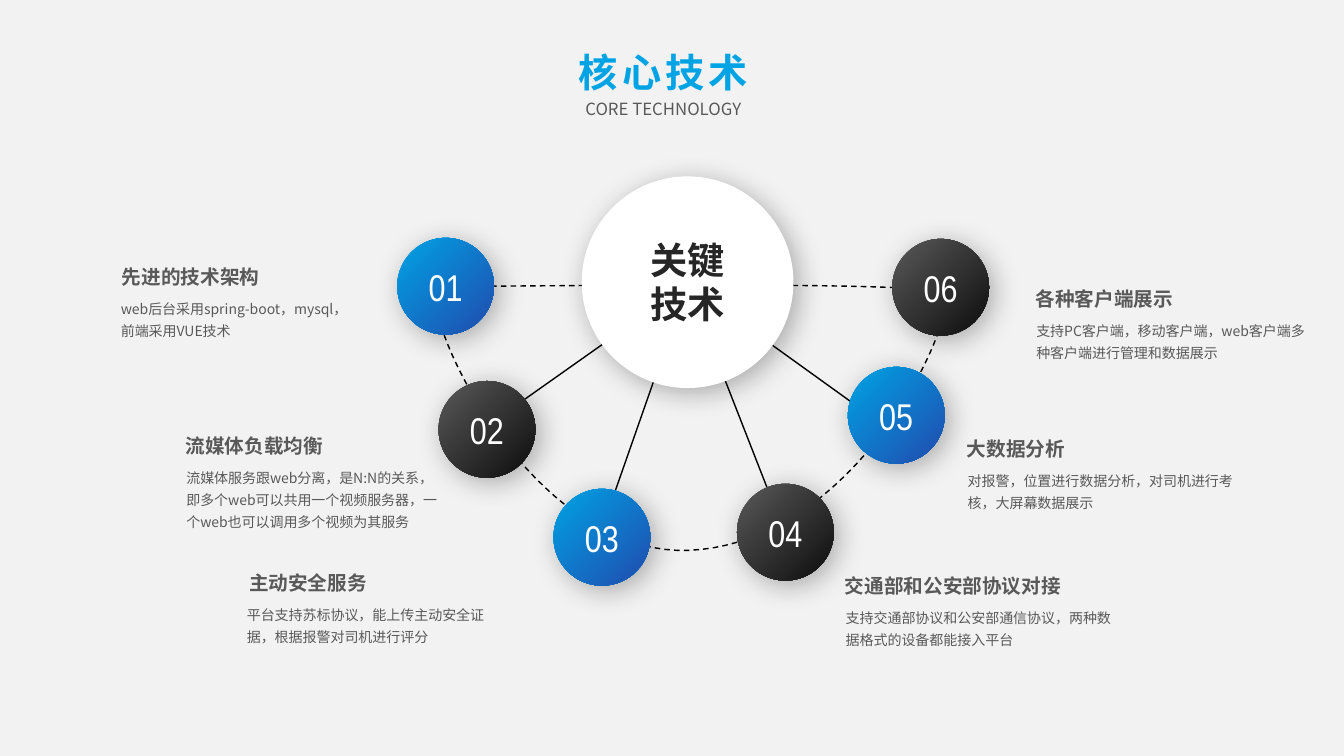
from collections import namedtuple

from lxml import etree
from pptx import Presentation
from pptx.dml.color import RGBColor
from pptx.enum.dml import MSO_LINE
from pptx.enum.shapes import MSO_CONNECTOR, MSO_SHAPE
from pptx.enum.text import MSO_ANCHOR, MSO_AUTO_SIZE, PP_ALIGN
from pptx.oxml import parse_xml
from pptx.oxml.ns import nsdecls, qn
from pptx.util import Pt

STRAIGHT = MSO_CONNECTOR.STRAIGHT
OVAL, RECTANGLE = MSO_SHAPE.OVAL, MSO_SHAPE.RECTANGLE
DASH = MSO_LINE.DASH
MIDDLE, CENTER = MSO_ANCHOR.MIDDLE, PP_ALIGN.CENTER
GROW = MSO_AUTO_SIZE.SHAPE_TO_FIT_TEXT

EMU_PER_PX = 9144  # 100 px to the inch
CHINESE_FONT, HEADING_FONT, NUMBER_FONT = "Noto Sans CJK SC", "Calibri", "Arial Narrow"
BLUE, GREY = ("00A3E4", "214BAE"), ("595959", "0D0D0D")
TEXT_COLOR = "595959"
NODE_SIZE = 96
HUB_BOX = (577, 175, 210, 210)

# node: left and top of the circle; spoke: outer end of its line to the hub
# heading: left, top, width; body: left, width, height
Topic = namedtuple("Topic", "node spoke heading title body lines")
TOPICS = [
    Topic((394, 236), None, (104, 258, 236), "先进的技术架构", (110, 268, 54),
          ["web后台采用spring-boot，mysql，", "前端采用VUE技术"]),
    Topic((435, 378), (464, 436), (167, 426, 236), "流媒体负载均衡", (175, 276, 76),
          ["流媒体服务跟web分离，是N:N的关系，即多个web可以共用一个视频服务器，"
           "一个web也可以调用多个视频为其服务"]),
    Topic((549, 485), (591, 542), (230, 562, 236), "主动安全服务", (235, 265, 54),
          ["平台支持苏标协议，能上传主动安全证据，根据报警对司机进行评分"]),
    Topic((731, 480), (780, 533), (821, 565, 253), "交通部和公安部协议对接", (829, 293, 54),
          ["支持交通部协议和公安部通信协议，两种数据格式的设备都能接入平台"]),
    Topic((841, 364), (896, 436), (942, 429, 236), "大数据分析", (950, 293, 54),
          ["对报警，位置进行数据分析，对司机进行考核，大屏幕数据展示"]),
    Topic((885, 237), None, (1010, 280, 236), "各种客户端展示", (1018, 293, 54),
          ["支持PC客户端，移动客户端，web客户端多种客户端进行管理和数据展示"]),
]

ORBIT_START = (439, 284)
ORBIT_CURVES = [
    ((477, 285), (896, 278), (939, 290)),
    ((946, 323), (851, 538), (684, 546)),
    ((516, 553), (402, 282), (439, 284)),
]


def px(*lengths):
    return [round(length * EMU_PER_PX) for length in lengths]


def rgb(value):
    return RGBColor.from_string(value)


def write(shape, lines, size, font_name, color, bold=False, align=None, spacing=None, tracking=0):
    """Fill a shape's text frame with evenly formatted paragraphs."""
    frame = shape.text_frame
    frame.word_wrap = True
    frame.text = "\n".join(lines)
    for paragraph in frame.paragraphs:
        paragraph.alignment = align
        paragraph.line_spacing = spacing
        for run in paragraph.runs:
            run.font.size, run.font.bold = Pt(size), bold
            run.font.name = font_name
            run.font.color.rgb = rgb(color)
            properties = run.font._element
            etree.SubElement(properties, qn("a:ea"), typeface=CHINESE_FONT)
            if tracking:
                properties.set("spc", str(tracking * 100))
    return frame


def add_text(slide, box, lines, size, font_name, color, **style):
    return write(slide.shapes.add_textbox(*px(*box)), lines, size, font_name, color, **style)


def add_plain_shape(slide, kind, box):
    shape = slide.shapes.add_shape(kind, *px(*box))
    shape.shadow.inherit = False
    shape.line.fill.background()
    return shape


def add_soft_shadow(shape):
    effects = shape._element.spPr.find(qn("a:effectLst"))
    effects.append(parse_xml(
        f'<a:outerShdw {nsdecls("a")} blurRad="{Pt(20)}" dist="{Pt(5)}" dir="2700000" '
        'algn="tl" rotWithShape="0"><a:srgbClr val="000000"><a:alpha val="30000"/>'
        '</a:srgbClr></a:outerShdw>'))


def add_header(slide, left, top, width):
    add_text(slide, (left, top, width, 45), ["核心技术"], 28, CHINESE_FONT, BLUE[0],
             bold=True, align=CENTER, spacing=1.3, tracking=3)
    add_text(slide, (left, top + 58, width, 45), ["CORE TECHNOLOGY"], 12, CHINESE_FONT,
             TEXT_COLOR, align=CENTER, spacing=1.3)


def curve_points(start, first, second, end, steps=40):
    """Points along a cubic curve, without its start."""
    for step in range(1, steps + 1):
        t = step / steps
        weights = ((1 - t) ** 3, 3 * t * (1 - t) ** 2, 3 * t * t * (1 - t), t ** 3)
        yield px(*(sum(w * value for w, value in zip(weights, axis))
                   for axis in zip(start, first, second, end)))


def add_orbit(slide):
    builder = slide.shapes.build_freeform(*px(*ORBIT_START), scale=1)
    start, points = ORBIT_START, []
    for curve in ORBIT_CURVES:
        points.extend(curve_points(start, *curve))
        start = curve[-1]
    builder.add_line_segments(points, close=True)
    orbit = builder.convert_to_shape()
    orbit.shadow.inherit = False
    orbit.fill.background()
    orbit.line.color.rgb = rgb("000000")
    orbit.line.width = Pt(1)
    orbit.line.dash_style = DASH


def add_spoke(slide, outer_end):
    left, top, width, height = HUB_BOX
    hub_center = (left + width // 2, top + height // 2 + 2)
    spoke = slide.shapes.add_connector(STRAIGHT, *px(*outer_end, *hub_center))
    spoke.line.color.rgb = rgb("000000")
    spoke.line.width = Pt(1)
    etree.SubElement(spoke._element.spPr, qn("a:effectLst"))


def add_node(slide, left, top, number):
    node = add_plain_shape(slide, OVAL, (left, top, NODE_SIZE, NODE_SIZE))
    node.fill.gradient()
    node.fill.gradient_angle = 315
    for stop, color in zip(node.fill.gradient_stops, BLUE if number % 2 else GREY):
        stop.color.rgb = rgb(color)
    add_soft_shadow(node)
    frame = write(node, [f"{number:02}"], 26.6, NUMBER_FONT, "FFFFFF", align=CENTER)
    frame.vertical_anchor = MIDDLE


def add_caption(slide, topic):
    left, top, width = topic.heading
    heading = add_text(slide, (left, top, width, 42), [topic.title], 14, HEADING_FONT,
                       TEXT_COLOR, bold=True, spacing=1.2)
    heading.margin_left, heading.margin_right = px(17, 17)
    heading.margin_top = heading.margin_bottom = 0
    body_left, body_width, body_height = topic.body
    body = add_text(slide, (body_left, top + 30, body_width, body_height), topic.lines, 10,
                    CHINESE_FONT, TEXT_COLOR, spacing=1.3)
    body.auto_size = GROW


def add_hub(slide, left, top, width, height):
    disc = add_plain_shape(slide, OVAL, (left, top, width, height))
    disc.fill.solid()
    disc.fill.fore_color.rgb = rgb("FFFFFF")
    add_soft_shadow(disc)
    label = add_plain_shape(slide, RECTANGLE, (left + 54, top + 53, 102, 103))
    label.fill.solid()
    label.fill.fore_color.rgb = rgb("FFFFFF")
    frame = write(label, ["关键技术"], 26.6, NUMBER_FONT, "262626", bold=True, align=CENTER)
    frame.vertical_anchor = MIDDLE
    frame.margin_left = frame.margin_right = frame.margin_top = frame.margin_bottom = 0


def build_technology_slide(presentation):
    slide = presentation.slides.add_slide(presentation.slide_layouts[6])
    slide.background.fill.solid()
    slide.background.fill.fore_color.rgb = rgb("F2F2F2")
    # Lines behind the circles
    add_orbit(slide)
    for topic in TOPICS:
        if topic.spoke:
            add_spoke(slide, topic.spoke)
    # Numbered circles and their captions
    for number, topic in enumerate(TOPICS, 1):
        add_node(slide, *topic.node, number)
        add_caption(slide, topic)
    # Hub and header
    add_hub(slide, *HUB_BOX)
    add_header(slide, 366, 29, 584)


def main():
    presentation = Presentation()
    presentation.slide_width, presentation.slide_height = px(1333, 750)
    build_technology_slide(presentation)
    presentation.save("out.pptx")


if __name__ == "__main__":
    main()
